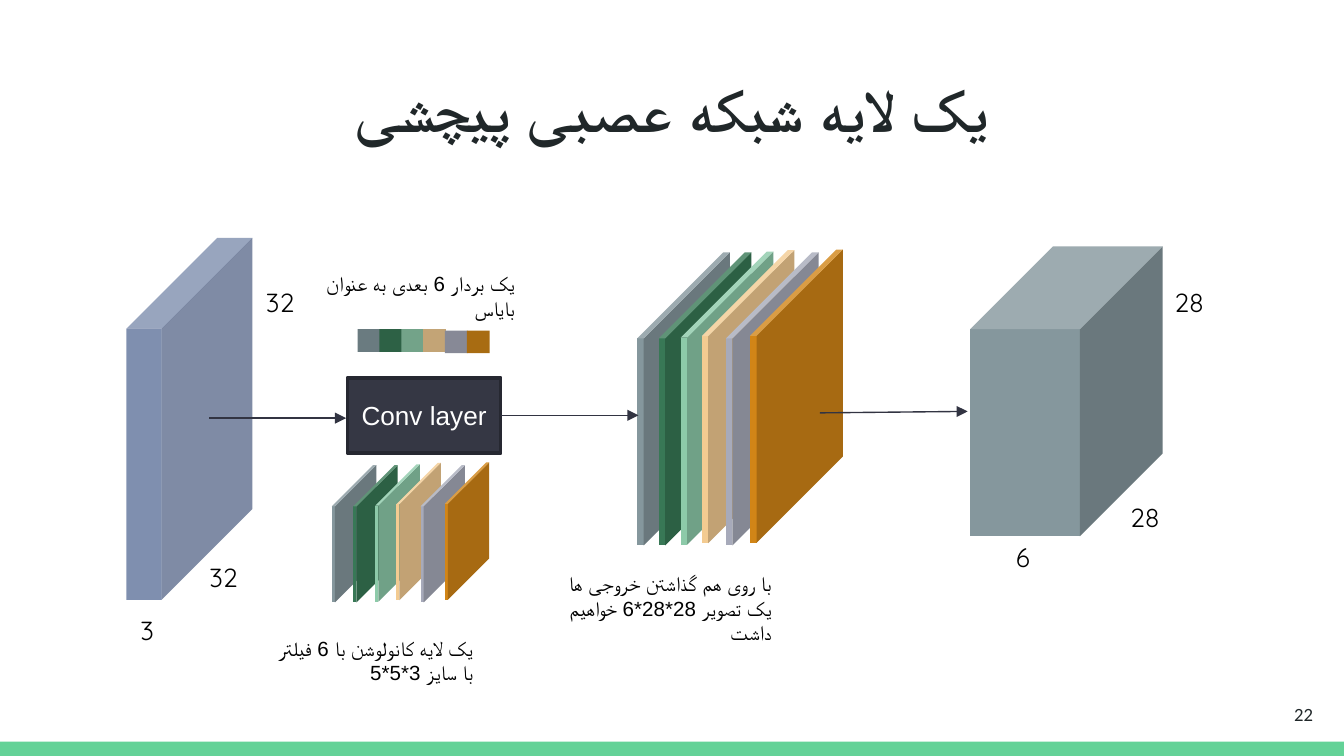
from lxml import etree
from pptx import Presentation
from pptx.dml.color import RGBColor
from pptx.enum import shapes, text
from pptx.oxml.ns import qn
from pptx.util import Pt

COLORS = {
    "bar": "63D297", "ink": "202729", "black": "000000", "white": "FFFFFF",
    "input": "002060", "box": "353744", "box_edge": "262831", "arrow": "323442",
    "slate": "85979D", "green": "387856", "mint": "8DCAA9",
    "sand": "F3CB91", "lilac": "A7AABA", "ochre": "D18517",
    "slate_dark": "6A7B80", "green_dark": "2D6145", "mint_dark": "73A389",
    "sand_dark": "C3A476", "lilac_dark": "878996", "ochre_dark": "A86C12",
}
LAYERS = ["slate", "green", "mint", "sand", "lilac", "ochre"]
MSO = shapes.MSO_SHAPE
ALIGN = text.PP_ALIGN


def write(sp, words, size=14, font="Quicksand", color="black", bold=False,
          align=ALIGN.LEFT, anchor=text.MSO_ANCHOR.TOP, rtl=False,
          cs=None, inset=3.6, grow=False):
    tf = sp.text_frame
    tf.word_wrap = True
    tf.auto_size = (text.MSO_AUTO_SIZE.SHAPE_TO_FIT_TEXT if grow
                    else text.MSO_AUTO_SIZE.NONE)
    tf.vertical_anchor = anchor
    tf.margin_left = tf.margin_right = Pt(7.2)
    tf.margin_top = tf.margin_bottom = Pt(inset)
    p = tf.paragraphs[0]
    p.alignment = align
    if rtl:
        p._p.get_or_add_pPr().set("rtl", "1")
    r = p.add_run()
    r.text = words
    r.font.size, r.font.name, r.font.bold = Pt(size), font, bold
    r.font.color.rgb = RGBColor.from_string(COLORS[color])
    if cs:
        etree.SubElement(r._r.get_or_add_rPr(), qn("a:cs")).set("typeface", cs)


def solid(kind, x, y, w, h, color, depth=None):
    sp = s.shapes.add_shape(kind, Pt(x), Pt(y), Pt(w), Pt(h))
    sp.shadow.inherit = False
    sp.fill.solid()
    sp.fill.fore_color.rgb = RGBColor.from_string(COLORS[color])
    sp.line.fill.background()
    if depth is not None:
        sp.adjustments[0] = depth
    return sp


prs = Presentation()
prs.slide_width, prs.slide_height = Pt(720), Pt(405)
s = prs.slides.add_slide(prs.slide_layouts[5])

# Footer bar and page number
solid(MSO.RECTANGLE, 0, 397.3, 720, 7.7, "bar")
sp = s.shapes.add_textbox(Pt(667.3), Pt(367.2), Pt(43.2), Pt(31))
write(sp, "22", size=10, font="Calibri", color="ink", align=ALIGN.RIGHT,
      anchor=text.MSO_ANCHOR.MIDDLE, inset=7.2)

# Title
sp = s.shapes.title
sp.left, sp.top, sp.width, sp.height = Pt(24.5), Pt(35.3), Pt(671), Pt(45.4)
write(sp, "یک لایه شبکه عصبی پیچشی", size=32.4, color="ink", bold=True,
      align=ALIGN.CENTER, anchor=text.MSO_ANCHOR.MIDDLE, rtl=True, cs="Quicksand")

# Input volume, half transparent
sp = solid(MSO.CUBE, 67.7, 127.5, 67.5, 193.8, "input", depth=0.72)
rgb = sp.fill._xPr.find(".//" + qn("a:srgbClr"))
etree.SubElement(rgb, qn("a:alpha")).set("val", "50000")

# Convolution box
sp = solid(MSO.RECTANGLE, 186.2, 202.3, 82, 40.5, "box")
sp.line.color.rgb = RGBColor.from_string(COLORS["box_edge"])
sp.line.width = Pt(2)
write(sp, "Conv layer", font="Arial", color="white", align=ALIGN.CENTER,
      anchor=text.MSO_ANCHOR.MIDDLE)

# Stacks of feature maps and filters
OFFSETS = [(0, 0), (11.5, 0), (23.3, -0.4), (34.6, -1.2), (47.5, 0), (60.5, -1.4)]
for x, y, w, h in [(341.4, 135.2, 49.6, 157), (177.8, 249.2, 23.8, 73.6)]:
    for color, (dx, dy) in zip(LAYERS, OFFSETS):
        solid(MSO.CUBE, x + dx, y + dy, w, h, color, depth=0.93)

# Output volume
solid(MSO.CUBE, 519.8, 132, 103, 155.3, "slate", depth=0.43)

# Bias vector
for i, color in enumerate(LAYERS):
    solid(MSO.RECTANGLE, 191.6 + 11.7 * i, 176.4 if i < 4 else 177.1,
          12.2, 12.2, color + "_dark")

# Dimension labels
for words, x, y, w, align in [
    ("32", 135.4, 149.8, 36, ALIGN.LEFT),
    ("32", 105.1, 297.4, 36, ALIGN.LEFT),
    ("3", 67.7, 325.4, 22.3, ALIGN.CENTER),
    ("6", 537.1, 286.6, 22.3, ALIGN.LEFT),
    ("28", 622.1, 149.8, 36, ALIGN.LEFT),
    ("28", 598.3, 265, 36, ALIGN.LEFT),
]:
    sp = s.shapes.add_textbox(Pt(x), Pt(y), Pt(w), Pt(24.5))
    write(sp, words, align=align, grow=True)

# Captions
for words, x, y, w, h, rtl in [
    ("یک لایه کانولوشن با 6 فیلتر با سایز 3*5*5", 141.1, 337, 119.5, 33.8, True),
    ("با روی هم گذاشتن خروجی ها یک تصویر 28*28*6 خواهیم داشت",
     293.8, 302.4, 126.7, 47.5, True),
    ("یک بردار 6 بعدی به عنوان بایاس", 159.8, 141.8, 123.1, 33.8, False),
]:
    sp = s.shapes.add_textbox(Pt(x), Pt(y), Pt(w), Pt(h))
    write(sp, words, size=11, align=ALIGN.RIGHT, rtl=rtl, cs="Arial", grow=True)

# Flow arrows
for x1, y1, x2, y2 in [(112, 224, 185.4, 224), (268.2, 222.5, 342, 222.5),
                       (439.2, 221.2, 518.4, 220.4)]:
    c = s.shapes.add_connector(shapes.MSO_CONNECTOR.STRAIGHT,
                               Pt(x1), Pt(y1), Pt(x2), Pt(y2))
    c.line.color.rgb = RGBColor.from_string(COLORS["arrow"])
    c.line.width = Pt(0.75)
    etree.SubElement(c.line._get_or_add_ln(), qn("a:tailEnd")).set("type", "triangle")
    etree.SubElement(c._element.spPr, qn("a:effectLst"))

prs.save("out.pptx")
